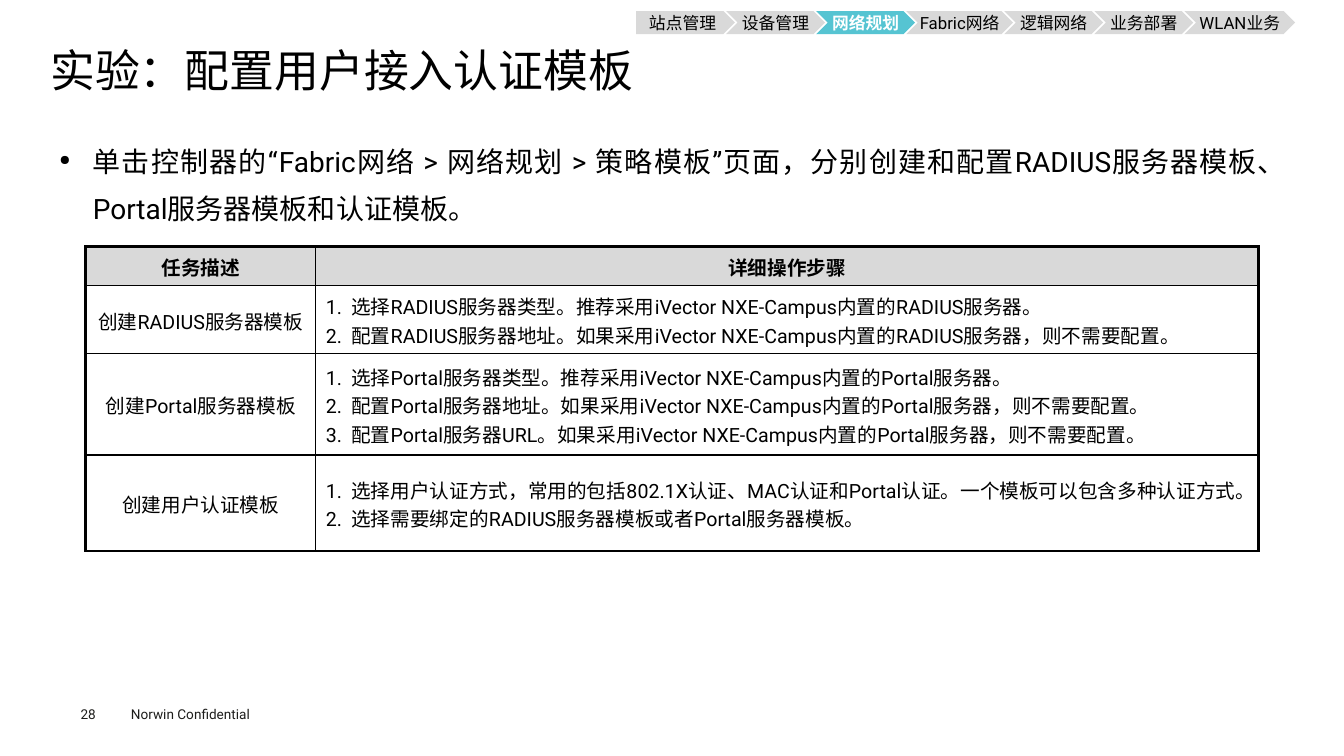
import pptx
import pptx.util
import pptx.dml.color
import pptx.enum.lang
import pptx.enum.shapes
import pptx.enum.text
import pptx.oxml
import pptx.oxml.ns
from lxml import etree

Cm, Pt = pptx.util.Cm, pptx.util.Pt
ALIGN = pptx.enum.text.PP_ALIGN
ANCHOR = pptx.enum.text.MSO_ANCHOR
SHAPE = pptx.enum.shapes.MSO_SHAPE
CHINESE = pptx.enum.lang.MSO_LANGUAGE_ID.SIMPLIFIED_CHINESE

FONT = "Roboto"
COLORS = {"text": "000000", "footer": "1D1D1B", "grey": "D9D9D9",
          "active": "56C4D2", "white": "FFFFFF"}


def rgb(name):
    return pptx.dml.color.RGBColor.from_string(COLORS[name])


def add_xml(parent, tag, **attrs):
    return etree.SubElement(parent, pptx.oxml.ns.qn(tag), attrs)


def write(p, text, size=14, color="text", bold=False, align=ALIGN.LEFT,
          spacing=None, indent=None, bullet=None):
    """Fill paragraph p; bullet is a character, or "1." for numbering."""
    pPr = p._p.get_or_add_pPr()
    if indent:
        pPr.set("marL", str(Cm(indent)))
        pPr.set("indent", str(-Cm(indent)))
    if bullet == "1.":
        add_xml(pPr, "a:buFont", typeface="+mj-lt")
        add_xml(pPr, "a:buAutoNum", type="arabicPeriod")
    elif bullet:
        add_xml(pPr, "a:buSzPct", val="50000")
        add_xml(pPr, "a:buChar", char=bullet)
    p.alignment = align
    if spacing:
        p.line_spacing = spacing
    r = p.add_run()
    r.text = text
    r.font.name, r.font.size, r.font.bold = FONT, Pt(size), bold
    r.font.color.rgb = rgb(color)
    r.font.language_id = CHINESE
    add_xml(r.font._element, "a:ea", typeface=FONT)


class SlideBuilder:
    """Holds the current slide and draws each kind of element on it."""

    thin, thick = 1, 2.25
    line_height = Pt(20.4)

    def __init__(self, prs):
        self.s = prs.slides.add_slide(prs.slide_layouts[6])

    def text(self, x, y, w, h, text, inset=(0, 0), **fmt):
        sp = self.s.shapes.add_textbox(Cm(x), Cm(y), Cm(w), Cm(h))
        tf = sp.text_frame
        tf.word_wrap = True
        tf.margin_left = tf.margin_right = Cm(inset[0])
        tf.margin_top = tf.margin_bottom = Cm(inset[1])
        write(tf.paragraphs[0], text, **fmt)

    def step(self, kind, x, y, w, h, text, fill, **fmt):
        sp = self.s.shapes.add_shape(kind, Cm(x), Cm(y), Cm(w), Cm(h))
        sp.shadow.inherit = False
        sp.fill.solid()
        sp.fill.fore_color.rgb = rgb(fill)
        sp.line.fill.background()
        tf = sp.text_frame
        tf.word_wrap = True
        tf.margin_left = tf.margin_right = tf.margin_top = tf.margin_bottom = 0
        tf.vertical_anchor = ANCHOR.MIDDLE
        write(tf.paragraphs[0], text, size=12, align=ALIGN.CENTER, **fmt)

    def borders(self, cell, widths):
        tcPr = cell._tc.get_or_add_tcPr()
        for i, (side, width) in enumerate(widths.items()):
            ln = pptx.oxml.parse_xml(
                f'<a:ln{side} {pptx.oxml.ns.nsdecls("a")} w="{Pt(width)}"><a:solidFill>'
                f'<a:srgbClr val="{COLORS["text"]}"/></a:solidFill></a:ln{side}>')
            tcPr.insert(i, ln)

    def table(self, x, y, col_widths, row_heights, header, tasks):
        rows, cols = len(row_heights), len(col_widths)
        frame = self.s.shapes.add_table(rows, cols, Cm(x), Cm(y),
                                        Cm(sum(col_widths)), Cm(sum(row_heights)))
        tbl = frame.table
        tbl.first_row = tbl.horz_banding = False
        for col, width in zip(tbl.columns, col_widths):
            col.width = Cm(width)
        for row, height in zip(tbl.rows, row_heights):
            row.height = Cm(height)

        content = [[[title] for title in header]]
        content += [[[task], steps] for task, steps in tasks]
        for i, row in enumerate(content):
            for j, lines in enumerate(row):
                cell = tbl.cell(i, j)
                cell.vertical_anchor = ANCHOR.MIDDLE
                if i == 0:
                    cell.fill.solid()
                    cell.fill.fore_color.rgb = rgb("grey")
                else:
                    cell.fill.background()
                edges = {"L": j == 0, "R": j == cols - 1,
                         "T": i == 0, "B": i == rows - 1}
                self.borders(cell, {side: self.thick if outer else self.thin
                                    for side, outer in edges.items()})
                if i and j:
                    fmt = dict(indent=0.64, bullet="1.")
                else:
                    fmt = dict(align=ALIGN.CENTER, bold=i == 0)
                tf = cell.text_frame
                for k, line in enumerate(lines):
                    p = tf.add_paragraph() if k else tf.paragraphs[0]
                    write(p, line, spacing=self.line_height, **fmt)


def main():
    prs = pptx.Presentation()
    prs.slide_width, prs.slide_height = Cm(33.87), Cm(19.05)
    slide = SlideBuilder(prs)

    # Footer
    slide.text(3.05, 17.65, 4.06, 0.69, "Norwin Confidential", inset=(0.25, 0.13),
               size=9.7, color="footer")
    slide.text(2.03, 17.78, 1.4, 0.41, "28", size=9.7, color="footer")

    # Title and introduction
    slide.text(1.27, 1.24, 31.37, 1.35, "实验：配置用户接入认证模板", size=32, spacing=0.9)
    slide.text(1.27, 3.2, 31.37, 2.44,
               "单击控制器的“Fabric网络 > 网络规划 > 策略模板”页面，"
               "分别创建和配置RADIUS服务器模板、Portal服务器模板和认证模板。",
               inset=(0.23, 0.1), size=20, align=ALIGN.JUSTIFY, spacing=1.4,
               indent=0.84, bullet="●")

    # Task table
    choose = "选择{0}服务器类型。推荐采用iVector NXE-Campus内置的{0}服务器。"
    configure = "配置{0}服务器{1}。如果采用iVector NXE-Campus内置的{0}服务器，则不需要配置。"
    tasks = [
        ("创建RADIUS服务器模板",
         [choose.format("RADIUS"), configure.format("RADIUS", "地址")]),
        ("创建Portal服务器模板",
         [choose.format("Portal"), configure.format("Portal", "地址"),
          configure.format("Portal", "URL")]),
        ("创建用户认证模板",
         ["选择用户认证方式，常用的包括802.1X认证、MAC认证和Portal认证。"
          "一个模板可以包含多种认证方式。",
          "选择需要绑定的RADIUS服务器模板或者Portal服务器模板。"]),
    ]
    slide.table(2.16, 6.22, [5.8, 23.76], [0.97, 1.72, 2.55, 2.42],
                ["任务描述", "详细操作步骤"], tasks)

    # Progress steps, each tucked into the notch of the next
    steps = [("站点管理", 2.49), ("设备管理", 2.49), ("网络规划", 2.49),
             ("Fabric网络", 2.69), ("逻辑网络", 2.49), ("业务部署", 2.49),
             ("WLAN业务", 2.79)]
    current, overlap, x = "网络规划", 0.22, 16.03
    for i, (name, width) in enumerate(steps):
        active = name == current
        slide.step(SHAPE.CHEVRON if i else SHAPE.PENTAGON, x, 0.28, width, 0.58, name,
                   fill="active" if active else "grey",
                   color="white" if active else "text", bold=active)
        x += width - overlap

    prs.save("out.pptx")


if __name__ == "__main__":
    main()
